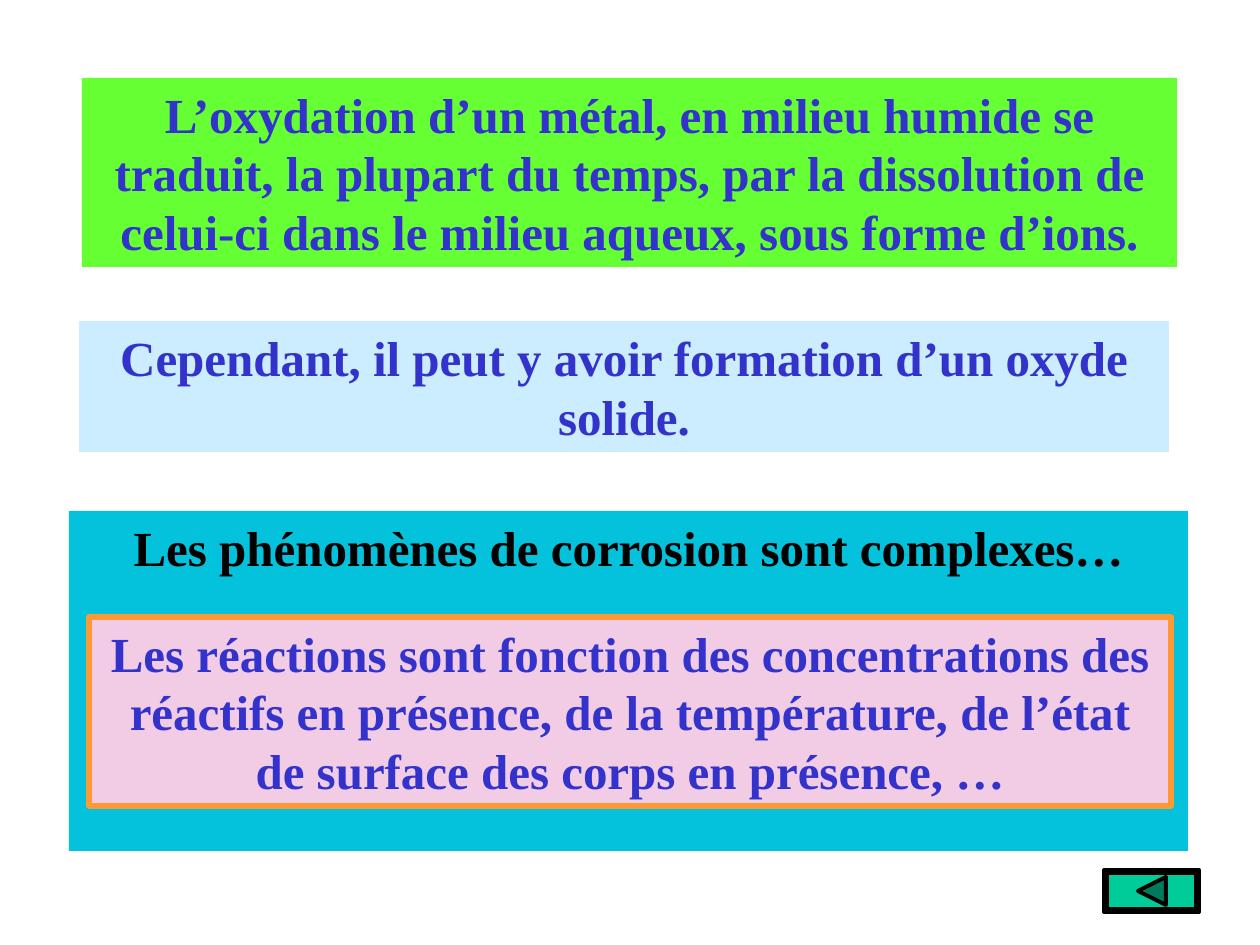
from dataclasses import dataclass

from pptx import Presentation
from pptx.dml.color import RGBColor
from pptx.enum.shapes import MSO_SHAPE
from pptx.enum.text import MSO_ANCHOR, PP_ALIGN
from pptx.util import Emu, Inches, Pt

PX_PER_INCH = 126
EMU_PER_PX = Inches(1) / PX_PER_INCH
FONT = "Times New Roman"
BLACK = "000000"
BLUE = "3333CC"


@dataclass(frozen=True)
class Panel:
    left: int
    top: int
    width: int
    height: int
    fill: str
    text: str
    text_color: str = BLUE
    border: str | None = None


PANELS = [
    Panel(69, 511, 1119, 340, "04C2DC",
          "Les phénomènes de corrosion sont complexes…", BLACK),
    Panel(82, 78, 1095, 189, "66FF33",
          "L’oxydation d’un métal, en milieu humide se traduit, la plupart du "
          "temps, par la dissolution de celui-ci dans le milieu aqueux, sous "
          "forme d’ions."),
    Panel(79, 321, 1090, 131, "CCECFF",
          "Cependant, il peut y avoir formation d’un oxyde solide."),
    Panel(89, 617, 1082, 189, "F2CCE5",
          "Les réactions sont fonction des concentrations des réactifs en "
          "présence, de la température, de l’état de surface des corps en "
          "présence, …", border="FF9933"),
]


def px(length: int) -> Emu:
    return Emu(round(length * EMU_PER_PX))


def color(value: str) -> RGBColor:
    return RGBColor.from_string(value)


def paint(shape, fill: str, border: str | None = None, weight: float = 0) -> None:
    shape.shadow.inherit = False
    shape.fill.solid()
    shape.fill.fore_color.rgb = color(fill)
    if border is None:
        shape.line.fill.background()
    else:
        shape.line.color.rgb = color(border)
        shape.line.width = Pt(weight)


def draw_panel(page, panel: Panel) -> None:
    box = page.shapes.add_shape(
        MSO_SHAPE.RECTANGLE,
        px(panel.left), px(panel.top), px(panel.width), px(panel.height))
    paint(box, panel.fill, panel.border, 3)
    frame = box.text_frame
    frame.word_wrap = True
    frame.vertical_anchor = MSO_ANCHOR.TOP
    para = frame.paragraphs[0]
    para.alignment = PP_ALIGN.CENTER
    span = para.add_run()
    span.text = panel.text
    span.font.name = FONT
    span.font.size = Pt(28)
    span.font.bold = True
    span.font.color.rgb = color(panel.text_color)


def draw_back_button(page) -> None:
    button = page.shapes.add_shape(
        MSO_SHAPE.BEVEL, px(1104), px(870), px(95), px(42))
    button.adjustments[0] = 0.07
    paint(button, "00CC99", BLACK, 2.25)

    builder = page.shapes.build_freeform(1138, 891, scale=EMU_PER_PX)
    builder.add_line_segments([(1166, 877), (1166, 905)], close=True)
    paint(builder.convert_to_shape(), "007A5C", BLACK, 2.25)


def main() -> None:
    deck = Presentation()
    deck.slide_width = Inches(10)
    deck.slide_height = Inches(7.5)
    page = deck.slides.add_slide(deck.slide_layouts[6])
    for panel in PANELS:
        draw_panel(page, panel)
    draw_back_button(page)
    deck.save("out.pptx")


if __name__ == "__main__":
    main()
